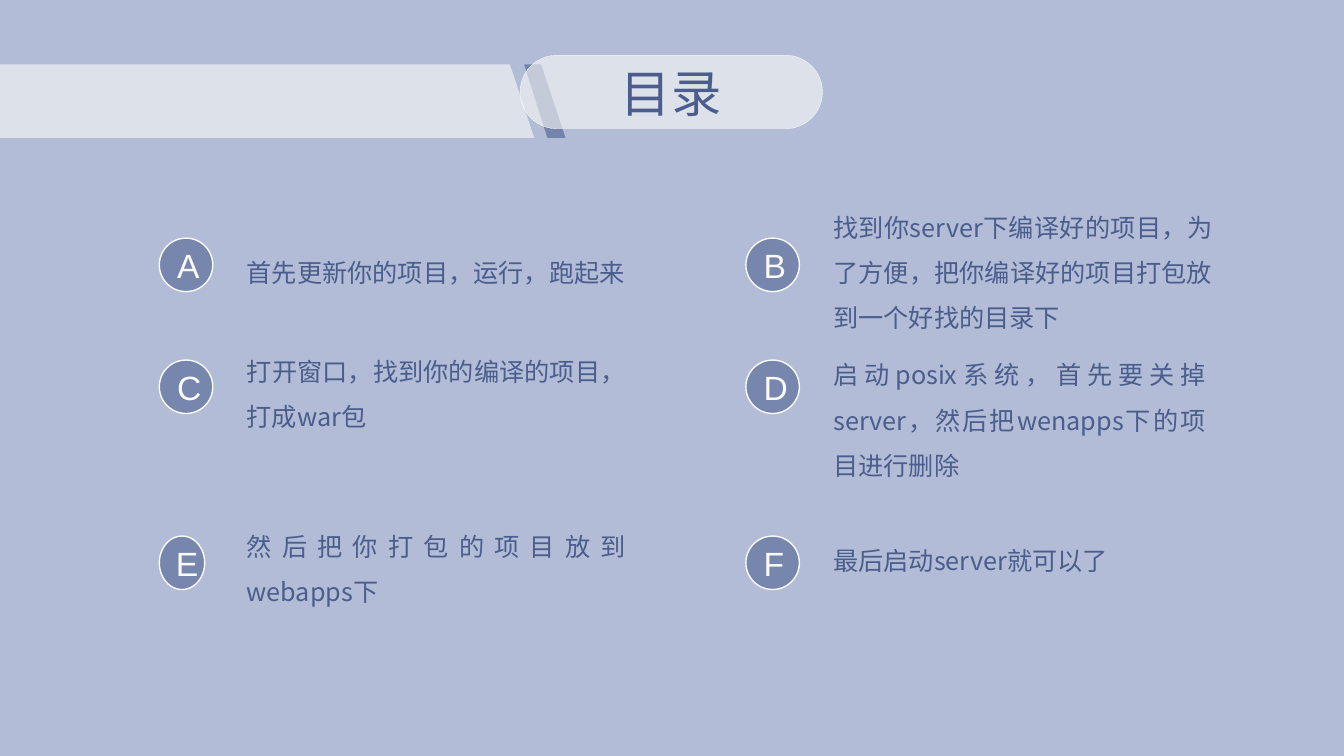
from lxml import etree
from pptx import Presentation
from pptx.dml.color import RGBColor
from pptx.enum.shapes import MSO_SHAPE
from pptx.enum.text import MSO_ANCHOR, PP_ALIGN
from pptx.oxml.ns import qn
from pptx.util import Pt

PILL = MSO_SHAPE.ROUNDED_RECTANGLE
OVAL = MSO_SHAPE.OVAL
MIDDLE = MSO_ANCHOR.MIDDLE
CENTER = PP_ALIGN.CENTER
JUSTIFY = PP_ALIGN.JUSTIFY

BACK, NAVY, PALE = "B2BCD6", "4A5D8C", "FAFAF8"
SANS, LATIN = "Noto Sans CJK SC", "Arial"

LEFTS = (113.8, 532.8)
MIDS = (189.2, 276.3, 402)
DISC = 38.2
# letter, text, line count, text width, text shift down, disc width
STEPS = (
    ("A", "首先更新你的项目，运行，跑起来", 1, 285, 0, DISC),
    ("B", "找到你server下编译好的项目，为了方便，把你编译好的项目打包放到一个好找的目录下",
     3, 285, 0, DISC),
    ("C", "打开窗口，找到你的编译的项目，打成war包", 2, 285, -0.5, DISC),
    ("D", "启动posix系统，首先要关掉server，然后把wenapps下的项目进行删除",
     3, 280, 18.5, DISC),
    ("E", "然后把你打包的项目放到webapps下", 2, 285, -1, 32.4),
    ("F", "最后启动server就可以了", 1, 285, -7, DISC),
)


def color(code):
    return RGBColor.from_string(code)


def paint(shape, code, alpha, line=None):
    """Give a see-through fill and an outline of the given width, if any."""
    shape.shadow.inherit = False
    shape.fill.solid()
    shape.fill.fore_color.rgb = color(code)
    tone = shape.fill._xPr.find(qn("a:solidFill"))[0]
    etree.SubElement(tone, qn("a:alpha"), val=str(alpha * 1000))
    if line:
        shape.line.color.rgb = color(PALE)
        shape.line.width = Pt(line)
    else:
        shape.line.fill.background()


def write(shape, text, size, font, code, align, space=None):
    frame = shape.text_frame
    frame.word_wrap = True
    frame.vertical_anchor = MIDDLE
    frame.text = text
    para = frame.paragraphs[0]
    para.alignment = align
    para.line_spacing = space
    for run in para.runs:
        run.font.size = Pt(size)
        run.font.name = font
        run.font.color.rgb = color(code)
        etree.SubElement(run.font._element, qn("a:ea"), typeface=font)


def band(slide, top, high, xs, code):
    """Draw a slanted strip; xs run clockwise from the top left."""
    ys = (top, top, top + high, top + high)
    spots = [(Pt(x), Pt(y)) for x, y in zip(xs, ys)]
    pen = slide.shapes.build_freeform(*spots[0])
    pen.add_line_segments(spots[1:], close=True)
    paint(pen.convert_to_shape(), code, 60)


def header(slide, top, high):
    band(slide, top, high, (0, 364.3, 381.6, 0), PALE)
    band(slide, top, high, (374.4, 386.6, 403.9, 391), NAVY)
    pill = slide.shapes.add_shape(PILL, Pt(371.5), Pt(top - 6.5), Pt(216), Pt(high))
    pill.adjustments[0] = 0.5
    paint(pill, PALE, 60, 0.25)
    write(pill, "目录", 36, SANS, NAVY, CENTER)


def entry(slide, left, mid, step):
    letter, text, lines, wide, shift, girth = step
    disc = slide.shapes.add_shape(
        OVAL, Pt(left), Pt(mid - DISC / 2), Pt(girth), Pt(DISC))
    paint(disc, NAVY, 56, 1)
    write(disc, letter, 24, LATIN, PALE, CENTER)
    high = 7 + 32.7 * lines
    box = slide.shapes.add_textbox(
        Pt(left + 55.4), Pt(mid + shift - high / 2), Pt(wide), Pt(high))
    write(box, text, 18, SANS, NAVY, JUSTIFY, 1.5)


def main():
    deck = Presentation()
    deck.slide_width, deck.slide_height = Pt(960), Pt(540)
    slide = deck.slides.add_slide(deck.slide_layouts[6])
    slide.background.fill.solid()
    slide.background.fill.fore_color.rgb = color(BACK)
    header(slide, 46, 52.5)
    for i, step in enumerate(STEPS):
        entry(slide, LEFTS[i % 2], MIDS[i // 2], step)
    deck.save("out.pptx")


if __name__ == "__main__":
    main()
